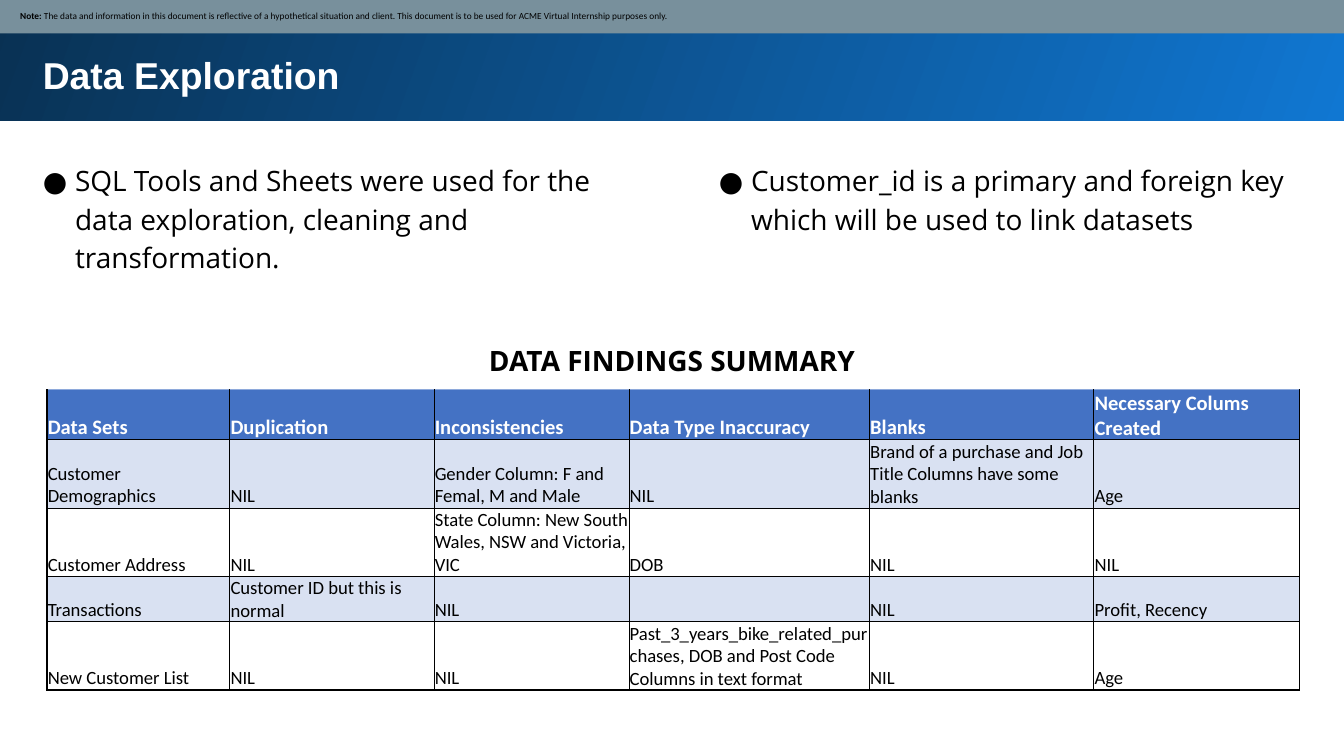
from lxml import etree
from pptx import Presentation
from pptx.dml.color import RGBColor
from pptx.enum import shapes, text
from pptx.oxml.ns import qn
from pptx.util import Inches, Pt


def rgb(color):
    return RGBColor.from_string(color)


def add_run(p, words, font, size, color="000000", bold=False):
    r = p.add_run()
    r.text = words
    r.font.name, r.font.size, r.font.bold = font, Pt(size), bold
    r.font.color.rgb = rgb(color)


prs = Presentation()
prs.slide_width = Inches(10)
prs.slide_height = Inches(10) * 9 // 16
s = prs.slides.add_slide(prs.slide_layouts[6])

# Title band and note strip
bars = []
for box in ((-0.02, -0.02, 10.05, 0.92), (-0.01, -0.01, 10.03, 0.26)):
    sp = s.shapes.add_shape(shapes.MSO_SHAPE.RECTANGLE, *map(Inches, box))
    sp.shadow.inherit = False
    sp.line.fill.background()
    bars.append(sp)
band, strip = bars

band.fill.gradient()
band.fill.gradient_angle = 160
for stop, color in zip(band.fill.gradient_stops, ("1077D2", "093153")):
    stop.color.rgb = rgb(color)

strip.fill.solid()
strip.fill.fore_color.rgb = rgb("78909C")
tf = strip.text_frame
tf.word_wrap = True
tf.vertical_anchor = text.MSO_ANCHOR.MIDDLE
tf.margin_left = Inches(0.16)
tf.margin_top = tf.margin_right = tf.margin_bottom = Inches(0.05)
p = tf.paragraphs[0]
p.alignment = text.PP_ALIGN.LEFT
add_run(p, "Note: ", "Calibri", 5, bold=True)
add_run(p, "The data and information in this document is reflective of a hypothetical situation and client. "
           "This document is to be used for ACME Virtual Internship purposes only.", "Calibri", 5)

# Text boxes: place, kind, words
texts = [
    ((0.22, 0.29, 9.37, 0.53), "title", "Data Exploration"),
    ((0.22, 1.08, 4.52, 1.05), "bullet",
     "SQL Tools and Sheets were used for the data exploration, cleaning and transformation."),
    ((5.25, 1.08, 4.52, 0.76), "bullet",
     "Customer_id is a primary and foreign key which will be used to link datasets"),
    ((2.74, 2.42, 4.52, 0.47), "heading", "DATA FINDINGS SUMMARY"),
]
for box, kind, words in texts:
    tf = s.shapes.add_textbox(*map(Inches, box)).text_frame
    tf.word_wrap = True
    tf.margin_left = tf.margin_top = tf.margin_right = tf.margin_bottom = Inches(0.1)
    p = tf.paragraphs[0]
    if kind == "title":
        add_run(p, words, "Arial", 20, "FFFFFF", True)
        continue
    p.line_spacing = 1.15
    if kind == "heading":
        p.alignment = text.PP_ALIGN.CENTER
    else:
        pPr = p._p.get_or_add_pPr()
        pPr.set("marL", str(Inches(0.24)))
        pPr.set("indent", str(-Inches(0.24)))
        etree.SubElement(pPr, qn("a:buFont"), typeface="Open Sans")
        etree.SubElement(pPr, qn("a:buChar"), char="●")
    add_run(p, words, "Open Sans", 15, bold=kind == "heading")

# Findings table
rows = [
    ["Data Sets", "Duplication", "Inconsistencies", "Data Type Inaccuracy", "Blanks",
     "Necessary Colums Created"],
    ["Customer Demographics", "NIL", "Gender Column: F and Femal, M and Male", "NIL",
     "Brand of a purchase and Job Title Columns have some blanks", "Age"],
    ["Customer Address", "NIL", "State Column: New South Wales, NSW and Victoria, VIC", "DOB",
     "NIL", "NIL"],
    ["Transactions", "Customer ID but this is normal", "NIL", "", "NIL", "Profit, Recency"],
    ["New Customer List", "NIL", "NIL",
     "Past_3_years_bike_related_purchases, DOB and Post Code Columns in text format", "NIL", "Age"],
]
widths = [1.36, 1.52, 1.45, 1.79, 1.67, 1.53]
heights = [0.37, 0.5, 0.5, 0.33, 0.5]
last_row, last_col = len(rows) - 1, len(widths) - 1
table = s.shapes.add_table(len(rows), len(widths), Inches(0.35), Inches(2.9),
                           Inches(sum(widths)), Inches(sum(heights))).table
table.horz_banding = False
for column, width in zip(table.columns, widths):
    column.width = Inches(width)
for row, height in zip(table.rows, heights):
    row.height = Inches(height)

for i, row in enumerate(rows):
    for j, words in enumerate(row):
        cell = table.cell(i, j)
        cell.margin_left = cell.margin_top = cell.margin_right = Pt(0.4)
        cell.margin_bottom = 0
        cell.vertical_anchor = text.MSO_ANCHOR.BOTTOM
        if i % 2 or i == 0:
            cell.fill.solid()
            cell.fill.fore_color.rgb = rgb("D9E1F2" if i else "4472C4")
        else:
            cell.fill.background()
        if words:
            size, color = (10, "000000") if i else (11, "FFFFFF")
            add_run(cell.text_frame.paragraphs[0], words, "Calibri", size, color, i == 0)
        tcPr = cell._tc.get_or_add_tcPr()
        thick = {"L": j == 0, "R": j == last_col, "T": False, "B": i == last_row}
        for k, (side, outer) in enumerate(thick.items()):
            ln = etree.Element(qn("a:ln" + side), w=str(Pt(1 if outer else 0.5)))
            fill = etree.SubElement(ln, qn("a:solidFill"))
            edge = "8EA9DB" if i == 0 and side == "T" else "000000"
            etree.SubElement(fill, qn("a:srgbClr"), val=edge)
            tcPr.insert(k, ln)

prs.save("out.pptx")
